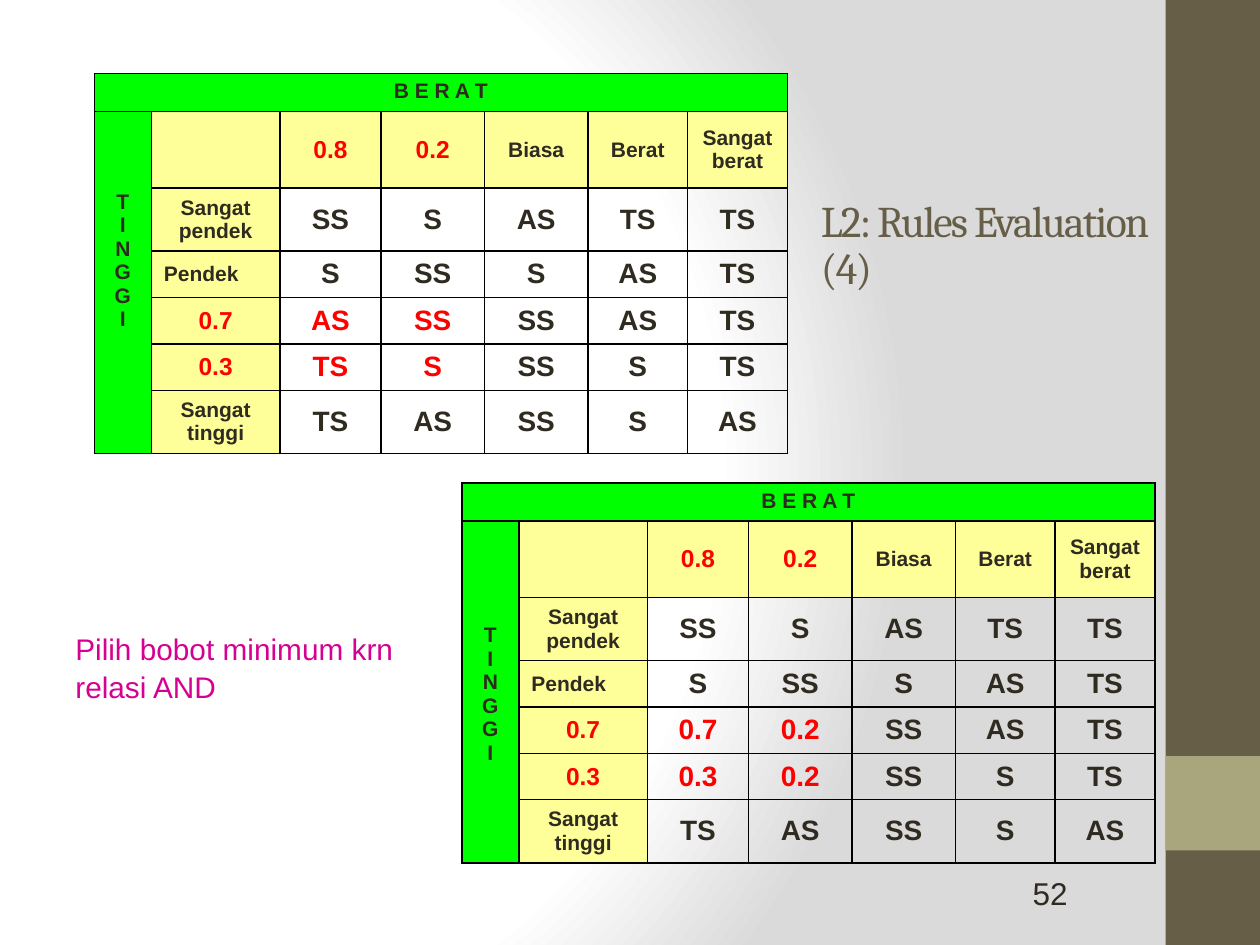
import lxml.etree
import pptx
import pptx.dml.color
import pptx.enum.shapes
import pptx.enum.text
import pptx.oxml
import pptx.oxml.ns
import pptx.util

COLORS = {
    "brown": "675E47", "olive": "A9A57C", "ink": "2F2B20", "red": "FF0000",
    "green": "00FF00", "yellow": "FFFF99", "magenta": "D60093",
    "border": "000000", "white": "FFFFFF", "gray": "DADADA",
}
SLIDE_WIDTH = pptx.util.Inches(10)
SLIDE_HEIGHT = pptx.util.Inches(7.5)
GRID_COLUMNS, GRID_ROWS = 120, 90
COLUMN_SHARES = [0.45, 1.02, 0.8, 0.82, 0.82, 0.79, 0.79]
ROW_SHARES = [0.3, 0.61, 0.5, 0.37, 0.37, 0.37, 0.5]
LABEL_LINE = pptx.util.Pt(13.8)
CENTER = pptx.enum.text.PP_ALIGN.CENTER
LEFT = pptx.enum.text.PP_ALIGN.LEFT
MIDDLE = pptx.enum.text.MSO_ANCHOR.MIDDLE
TOP = pptx.enum.text.MSO_ANCHOR.TOP

WEIGHTS = ["0.8", "0.2", "Biasa", "Berat", "Sangat berat"]
HEIGHTS = ["Sangat pendek", "Pendek", "0.7", "0.3", "Sangat tinggi"]
RULES = [
    ["SS", "S", "AS", "TS", "TS"],
    ["S", "SS", "S", "AS", "TS"],
    ["AS", "SS", "SS", "AS", "TS"],
    ["TS", "S", "SS", "S", "TS"],
    ["TS", "AS", "SS", "S", "AS"],
]
MINIMUMS = RULES[:2] + [["0.7", "0.2"] + RULES[2][2:], ["0.3", "0.2"] + RULES[3][2:]] + RULES[4:]


def grid_box(left, top, width, height):
    column, row = SLIDE_WIDTH / GRID_COLUMNS, SLIDE_HEIGHT / GRID_ROWS
    return [round(n * unit) for n, unit in
            ((left, column), (top, row), (width, column), (height, row))]


def set_attributes(target, values):
    for name, value in values.items():
        setattr(target, name, value)


def color(name):
    return pptx.dml.color.RGBColor.from_string(COLORS[name])


def fill_solid(item, name):
    item.fill.solid()
    item.fill.fore_color.rgb = color(name)


def write_paragraph(paragraph, text, size, ink="ink", bold=False, font="Arial", align=LEFT):
    paragraph.alignment = align
    run = paragraph.add_run()
    run.text = text
    set_attributes(run.font, {"name": font, "size": pptx.util.Pt(size), "bold": bold})
    run.font.color.rgb = color(ink)
    return run


def set_background(slide):
    slide.background.fill.gradient()
    gradient = next(slide.element.iter(pptx.oxml.ns.qn("a:gradFill")))
    stops = "".join(
        f'<a:gs pos="{share * 1000}"><a:srgbClr val="{COLORS[name]}"/></a:gs>'
        for share, name in ((0, "white"), (75, "white"), (100, "gray")))
    radial = pptx.oxml.parse_xml(
        f'<a:gradFill {pptx.oxml.ns.nsdecls("a")} rotWithShape="1"><a:gsLst>{stops}</a:gsLst>'
        '<a:path path="circle"><a:fillToRect l="20000" t="50000" r="100000" b="50000"/></a:path>'
        '</a:gradFill>')
    gradient.getparent().replace(gradient, radial)


def add_band(slide, box, name):
    band = slide.shapes.add_shape(pptx.enum.shapes.MSO_SHAPE.RECTANGLE, *box)
    band.shadow.inherit = False
    fill_solid(band, name)
    band.line.fill.background()


def add_text(slide, box, text, size, spacing=1.0, tracking=None, **style):
    frame = slide.shapes.add_textbox(*box).text_frame
    set_attributes(frame, {"word_wrap": True, "vertical_anchor": MIDDLE})
    paragraph = frame.paragraphs[0]
    paragraph.line_spacing = spacing
    run = write_paragraph(paragraph, text, size, **style)
    if tracking is not None:
        run.font._element.set("spc", str(tracking * 100))


def add_borders(cell):
    properties = cell._tc.get_or_add_tcPr()
    for index, side in enumerate(("lnL", "lnR", "lnT", "lnB")):
        line = lxml.etree.Element(pptx.oxml.ns.qn(f"a:{side}"), w=str(pptx.util.Pt(1)))
        solid = lxml.etree.SubElement(line, pptx.oxml.ns.qn("a:solidFill"))
        lxml.etree.SubElement(solid, pptx.oxml.ns.qn("a:srgbClr"), val=COLORS["border"])
        properties.insert(index, line)


def write_matrix_cell(cell, text, row, column):
    is_header = row == 1 or column == 1
    is_number = text[:1].isdigit()
    is_fired = row in (4, 5) and column in (2, 3)
    size = (14 if is_number else 12) if is_header else 16
    ink = "red" if is_number or is_fired else "ink"
    cell.vertical_anchor = MIDDLE
    if is_header:
        fill_solid(cell, "yellow")
    else:
        cell.fill.background()
    if text:
        write_paragraph(cell.text_frame.paragraphs[0], text, size, ink, True,
                        align=LEFT if text == "Pendek" else CENTER)


def add_rule_table(slide, box, rules, label_offset):
    left, top, width, height = box
    table = slide.shapes.add_table(len(ROW_SHARES), len(COLUMN_SHARES), *box).table
    set_attributes(table, {"first_row": False, "horz_banding": False})
    for column, share in zip(table.columns, COLUMN_SHARES):
        column.width = round(width * share / sum(COLUMN_SHARES))
    for row, share in zip(table.rows, ROW_SHARES):
        row.height = round(height * share / sum(ROW_SHARES))

    matrix = [[""] + WEIGHTS] + [[name] + values for name, values in zip(HEIGHTS, rules)]
    for row in range(len(ROW_SHARES)):
        for column in range(len(COLUMN_SHARES)):
            cell = table.cell(row, column)
            if row == 0 or column == 0:
                fill_solid(cell, "green")
            else:
                write_matrix_cell(cell, matrix[row - 1][column - 1], row, column)
            add_borders(cell)

    weight_title, height_title = table.cell(0, 0), table.cell(1, 0)
    weight_title.merge(table.cell(0, len(COLUMN_SHARES) - 1))
    height_title.merge(table.cell(len(ROW_SHARES) - 1, 0))
    write_paragraph(weight_title.text_frame.paragraphs[0], "B E R A T", 12, bold=True, align=CENTER)
    set_attributes(height_title, {
        "vertical_anchor": TOP,
        "margin_top": pptx.util.Inches(0.05) + label_offset * LABEL_LINE,
    })
    frame = height_title.text_frame
    for index, text in enumerate(("T", "I", "N G G", "I")):
        paragraph = frame.add_paragraph() if index else frame.paragraphs[0]
        write_paragraph(paragraph, text, 12, bold=True, align=CENTER)


def main():
    presentation = pptx.Presentation()
    set_attributes(presentation, {"slide_width": SLIDE_WIDTH, "slide_height": SLIDE_HEIGHT})
    slide = presentation.slides.add_slide(presentation.slide_layouts[6])
    set_background(slide)
    add_band(slide, grid_box(111, 0, 9, 90), "brown")
    add_band(slide, grid_box(111, 72, 9, 9), "olive")
    add_text(slide, grid_box(77, 9, 36, 29), "L2: Rules Evaluation (4)", 25,
             spacing=0.9, tracking=-1, ink="brown", font="Cambria")
    add_text(slide, grid_box(86, 82, 28, 6), "52", 18, align=CENTER)
    add_rule_table(slide, grid_box(9, 7, 66, 36.1), RULES, label_offset=3)
    add_rule_table(slide, grid_box(44, 46, 66, 36.1), MINIMUMS, label_offset=4)
    add_text(slide, grid_box(6, 49, 36, 29), "Pilih bobot minimum krn relasi AND", 17,
             spacing=1.05, ink="magenta")
    presentation.save("out.pptx")


if __name__ == "__main__":
    main()
